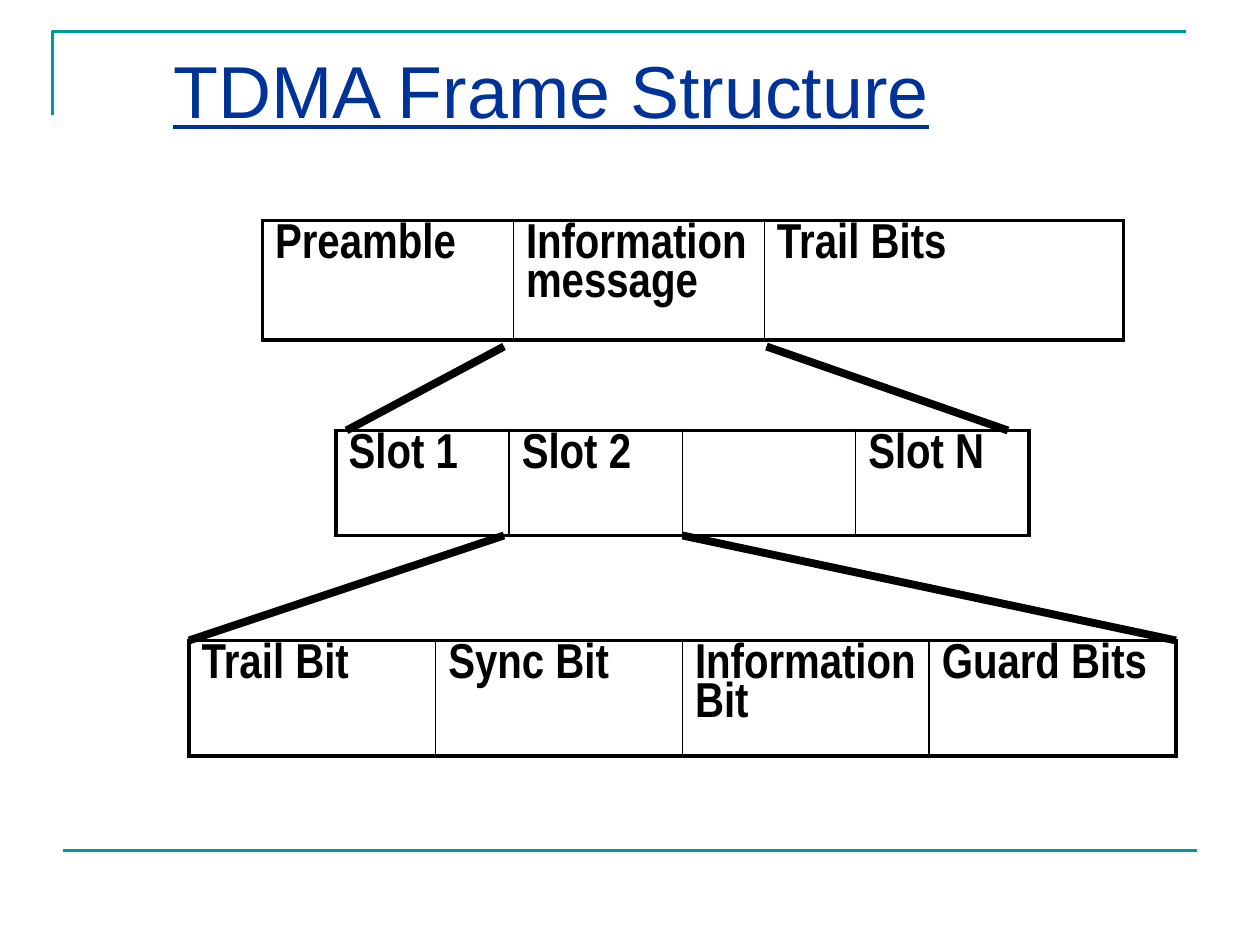
from typing import NamedTuple

from lxml.etree import SubElement
from pptx import Presentation
from pptx.dml.color import RGBColor
from pptx.enum.shapes import MSO_CONNECTOR as Connector
from pptx.enum.text import MSO_ANCHOR as Anchor, PP_ALIGN as Align
from pptx.oxml.ns import qn
from pptx.slide import Slide
from pptx.util import Inches, Pt

TEAL = RGBColor(0x00, 0x99, 0x99)
NAVY = RGBColor(0x00, 0x33, 0x99)
BLACK = RGBColor(0x00, 0x00, 0x00)

UNITS_PER_INCH = 12
OUTER, INNER = 2.25, 1
TITLE_FONT = {"name": "Arial", "size": Pt(42), "underline": True}
CELL_FONT = {"name": "Arial Narrow", "size": Pt(28), "bold": True}


class Band(NamedTuple):
    left: float
    top: float
    height: float
    widths: list[float]
    labels: list[str]


class Stroke(NamedTuple):
    start: tuple[float, float]
    end: tuple[float, float]
    color: RGBColor = BLACK
    weight: float = 4.5


BANDS = [
    Band(25, 21, 11.4, [23.9, 23.9, 34.2],
         ["Preamble", "Information message", "Trail Bits"]),
    Band(32, 41, 10, [16.5] * 4, ["Slot 1", "Slot 2", "", "Slot N"]),
    Band(18, 61, 11, [23.5] * 4,
         ["Trail Bit", "Sync Bit", "Information Bit", "Guard Bits"]),
]
FOOTER_RULE = Stroke((6, 81), (114, 81), TEAL, 1.5)
EXPANSIONS = [
    Stroke((33, 41), (48, 33)),
    Stroke((18, 61), (48, 51)),
    Stroke((65, 51), (112, 61)),
    Stroke((96, 41), (73, 33)),
]


def grid(units: float) -> int:
    return Inches(units / UNITS_PER_INCH)


def write(para, text: str, font: dict, color: RGBColor) -> None:
    span = para.add_run()
    span.text = text
    for name, value in font.items():
        setattr(span.font, name, value)
    span.font.color.rgb = color


def draw_corner(page: Slide) -> None:
    builder = page.shapes.build_freeform(grid(5), grid(11))
    builder.add_line_segments([(grid(5), grid(3)), (grid(113), grid(3))], close=False)
    corner = builder.convert_to_shape()
    corner.shadow.inherit = False
    corner.fill.background()
    corner.line.color.rgb = TEAL
    corner.line.width = Pt(1.5)


def draw_title(page: Slide, text: str) -> None:
    box = page.shapes.add_textbox(grid(5), grid(3), grid(95), grid(12))
    settings = {"word_wrap": True, "vertical_anchor": Anchor.TOP, "margin_top": Inches(0.11)}
    for name, value in settings.items():
        setattr(box.text_frame, name, value)
    para = box.text_frame.paragraphs[0]
    para.alignment = Align.CENTER
    write(para, text, TITLE_FONT, NAVY)


def draw_stroke(page: Slide, stroke: Stroke) -> None:
    ends = [grid(units) for units in (*stroke.start, *stroke.end)]
    line = page.shapes.add_connector(Connector.STRAIGHT, *ends)
    line.line.color.rgb = stroke.color
    line.line.width = Pt(stroke.weight)
    SubElement(line._element.spPr, qn("a:effectLst"))


def set_borders(cell, weights: dict[str, float]) -> None:
    properties = cell._tc.get_or_add_tcPr()
    for side, weight in weights.items():
        border = SubElement(properties, qn(f"a:ln{side}"), w=str(Pt(weight)))
        fill = SubElement(border, qn("a:solidFill"))
        SubElement(fill, qn("a:srgbClr"), val=str(BLACK))


def draw_band(page: Slide, band: Band) -> None:
    count = len(band.labels)
    frame = page.shapes.add_table(1, count, grid(band.left), grid(band.top),
                                  grid(sum(band.widths)), grid(band.height))
    table = frame.table
    table.first_row = table.horz_banding = False
    for index, (width, label) in enumerate(zip(band.widths, band.labels)):
        table.columns[index].width = grid(width)
        cell = table.cell(0, index)
        set_borders(cell, {
            "L": OUTER if index == 0 else INNER,
            "R": OUTER if index == count - 1 else INNER,
            "T": OUTER,
            "B": OUTER,
        })
        cell.fill.background()
        if label:
            para = cell.text_frame.paragraphs[0]
            para.line_spacing = 0.85
            write(para, label, CELL_FONT, BLACK)


def main() -> None:
    deck = Presentation()
    deck.slide_width, deck.slide_height = Inches(10), Inches(7.5)
    page = deck.slides.add_slide(deck.slide_layouts[6])
    draw_corner(page)
    draw_stroke(page, FOOTER_RULE)
    draw_title(page, "TDMA Frame Structure")
    for band in BANDS:
        draw_band(page, band)
    for stroke in EXPANSIONS:
        draw_stroke(page, stroke)
    deck.save("out.pptx")


if __name__ == "__main__":
    main()
